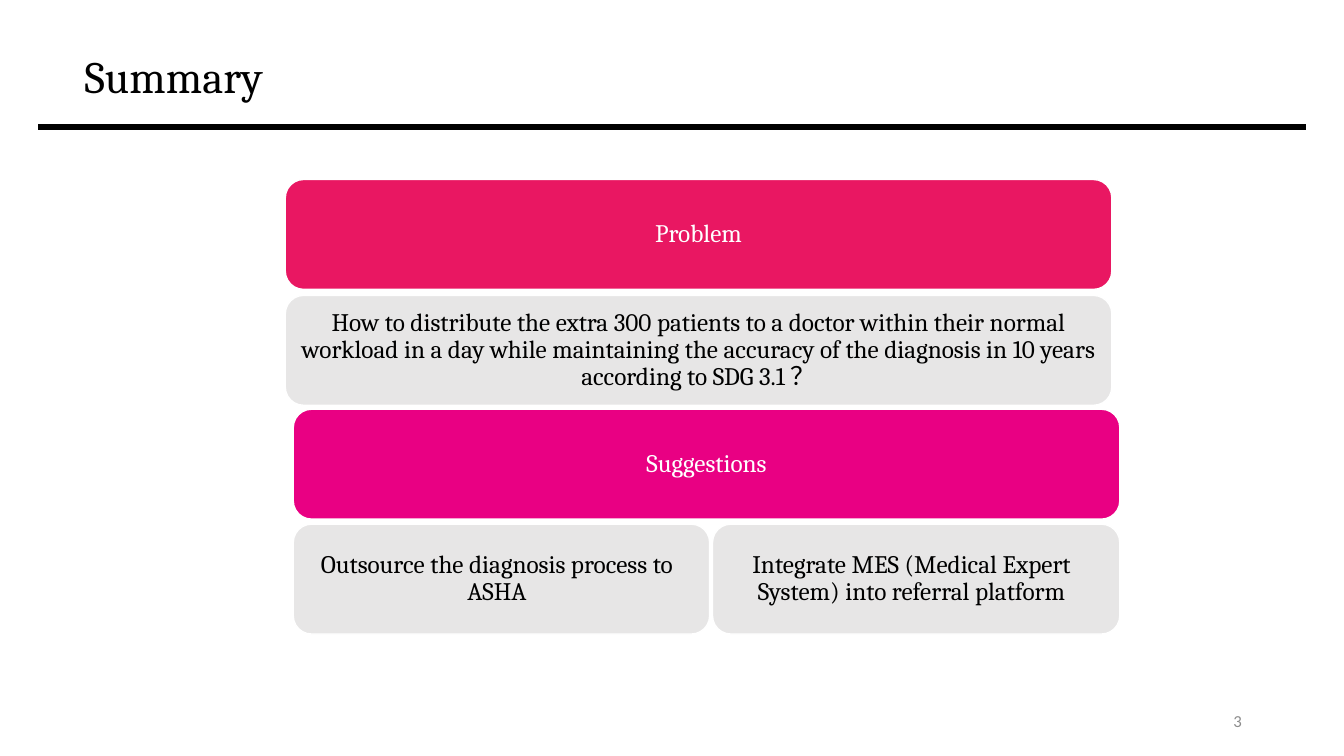
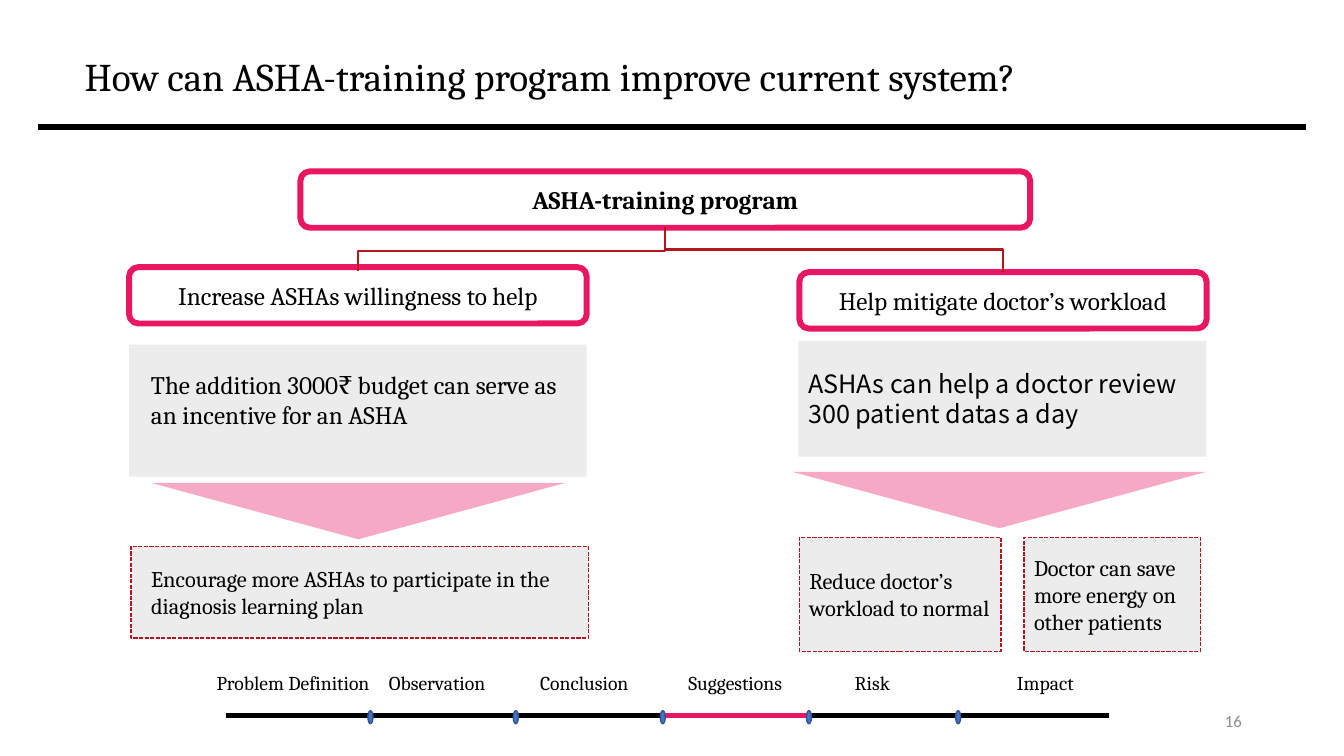
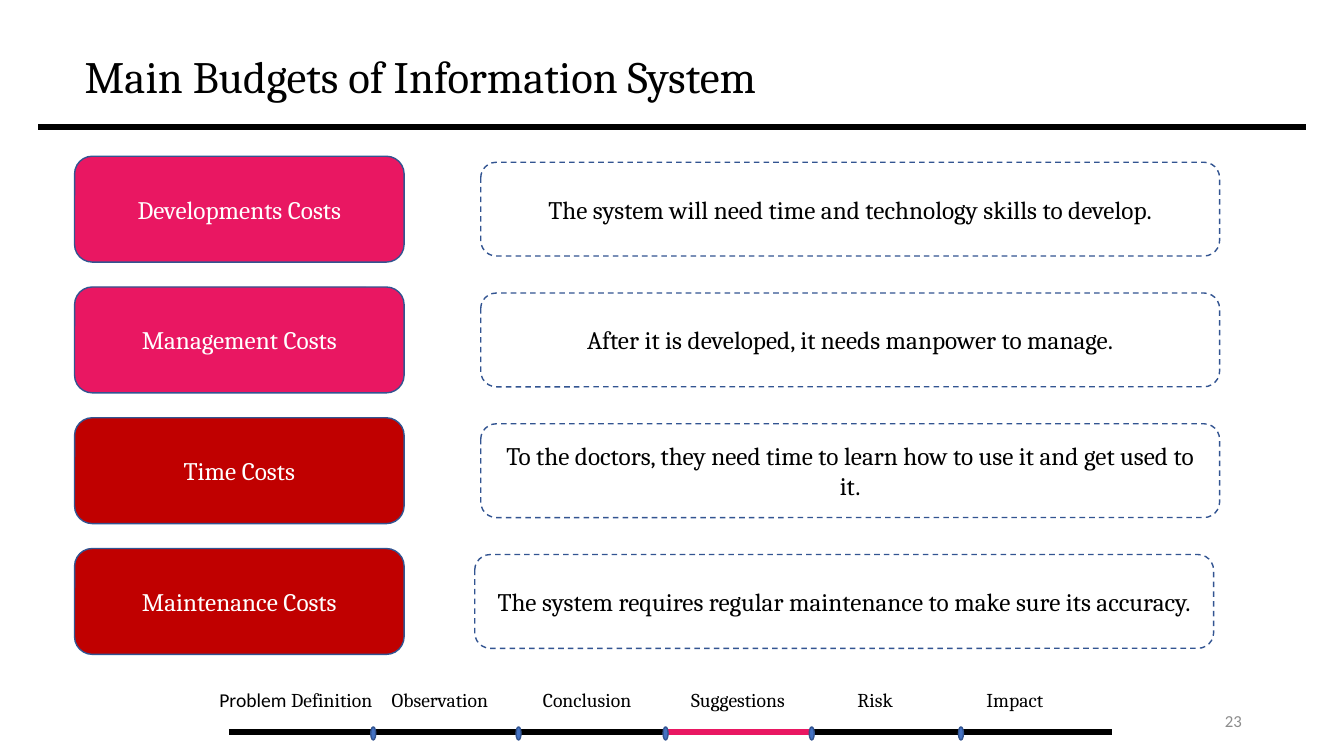
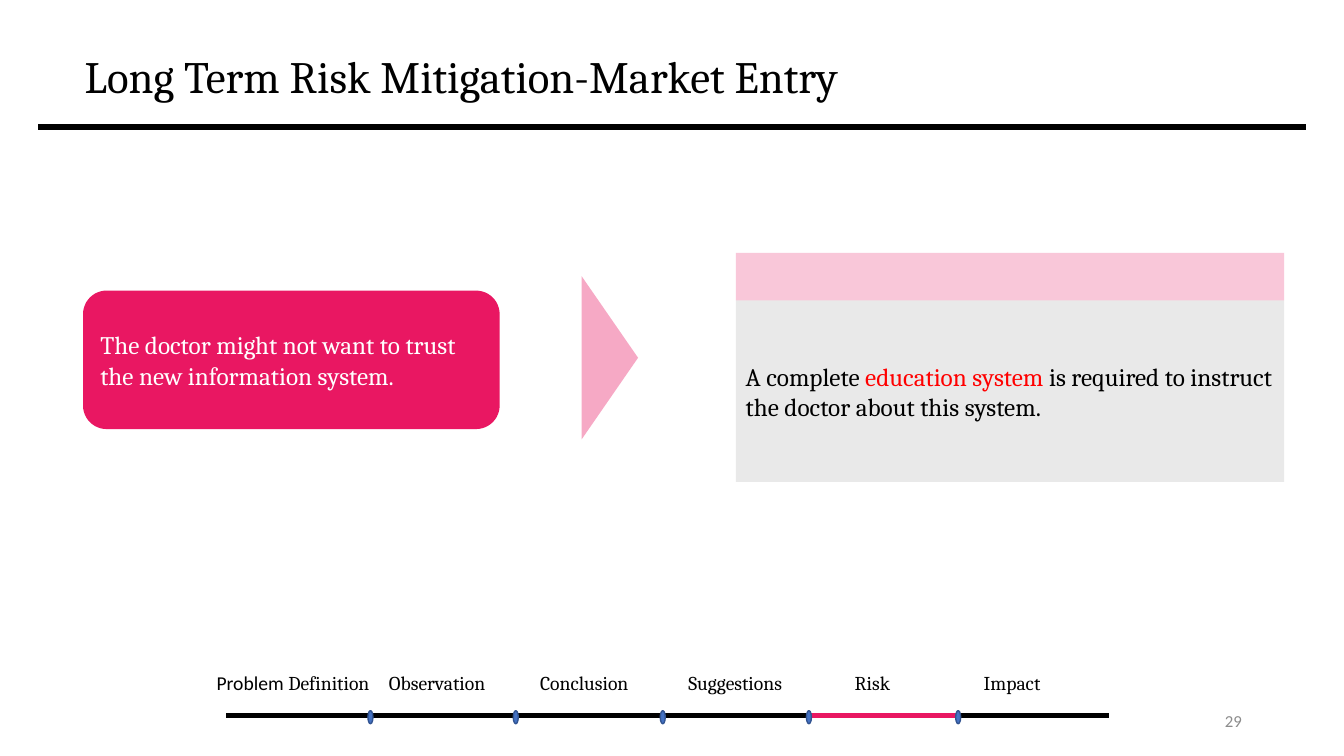
from lxml import etree
from pptx import Presentation
from pptx import util as u
from pptx.dml.color import RGBColor
from pptx.enum import dml, shapes, text
from pptx.oxml import ns

BLACK = RGBColor(0x00, 0x00, 0x00)
WHITE = RGBColor(0xFF, 0xFF, 0xFF)
PINK = RGBColor(0xE9, 0x17, 0x62)
MAGENTA = RGBColor(0xE9, 0x00, 0x83)
CRIMSON = RGBColor(0xB0, 0x17, 0x1F)
DARK_RED = RGBColor(0xC0, 0x00, 0x00)
RED = RGBColor(0xFF, 0x00, 0x00)
BLUE = RGBColor(0x44, 0x72, 0xC4)
NAVY = RGBColor(0x32, 0x54, 0x91)
LIGHT_GRAY = RGBColor(0xE7, 0xE6, 0xE6)
MID_GRAY = RGBColor(0xA5, 0xA5, 0xA5)
NUMBER_GRAY = RGBColor(0x8C, 0x8C, 0x8C)

SERIF, SANS, CJK = "Cambria", "Calibri", "Noto Sans CJK SC"
LEFT, CENTER, RIGHT = (text.PP_ALIGN.LEFT, text.PP_ALIGN.CENTER,
                       text.PP_ALIGN.RIGHT)
TOP, MIDDLE = text.MSO_ANCHOR.TOP, text.MSO_ANCHOR.MIDDLE
KIND = shapes.MSO_SHAPE
ROUND, RECT = KIND.ROUNDED_RECTANGLE, KIND.RECTANGLE
DASH, FINE_DASH = dml.MSO_LINE.DASH, dml.MSO_LINE.SQUARE_DOT

RULE_WIDTH = 4
MARGINS = (7.2, 3.6, 7.2, 3.6)
TRACKER_DOTS = (264.6, 368.4, 473.4, 577.8, 684.4)
TRACKER_LABELS = (
    ("Problem Definition", 147.6, 128),
    ("Observation", 270.7, 87.8),
    ("Conclusion", 378.7, 81.4),
    ("Suggestions", 484.6, 86.4),
    ("Risk", 603.4, 41),
    ("Impact", 695.5, 56.9),
)


def write(frame, content, size=18, color=BLACK, font=SERIF, bold=False,
          align=LEFT, anchor=MIDDLE, spacing=None, margins=MARGINS, wrap=True):
    frame.word_wrap = wrap
    frame.vertical_anchor = anchor
    (frame.margin_left, frame.margin_top,
     frame.margin_right, frame.margin_bottom) = map(u.Pt, margins)
    para = frame.paragraphs[0]
    para.alignment = align
    if spacing:
        para.line_spacing = spacing
    runs = [(content, {})] if isinstance(content, str) else content
    for words, own in runs:
        span = para.add_run()
        span.text = words
        span.font.size = u.Pt(size)
        span.font.bold = bold
        span.font.name = own.get("font", font)
        span.font.color.rgb = own.get("color", color)


def add_box(page, kind, left, top, width, height, fill=None, opacity=100,
            line=None, weight=1, dash=None, rotation=0):
    box = page.shapes.add_shape(kind, *map(u.Pt, (left, top, width, height)))
    box.shadow.inherit = False
    box.rotation = rotation
    if fill is None:
        box.fill.background()
    else:
        box.fill.solid()
        box.fill.fore_color.rgb = fill
    if opacity < 100:
        color = box.element.spPr.find(".//" + ns.qn("a:srgbClr"))
        etree.SubElement(color, ns.qn("a:alpha"), val=str(opacity * 1000))
    if line is None:
        box.line.fill.background()
    else:
        box.line.color.rgb = line
        box.line.width = u.Pt(weight)
        if dash:
            box.line.dash_style = dash
    return box


def add_label(page, content, left, top, width, height, **style):
    label = page.shapes.add_textbox(*map(u.Pt, (left, top, width, height)))
    write(label.text_frame, content, **style)


def add_line(page, kind, start, end, color, weight):
    line = page.shapes.add_connector(kind, *map(u.Pt, (*start, *end)))
    line.line.color.rgb = color
    line.line.width = u.Pt(weight)
    etree.SubElement(line.element.spPr, ns.qn("a:effectLst"))
    return line


def add_rule(page, left, right, y, color=BLACK):
    add_line(page, shapes.MSO_CONNECTOR.STRAIGHT, (left, y), (right, y),
             color, RULE_WIDTH)


def add_branch(page, start, end):
    across, down = abs(end[0] - start[0]), end[1] - start[1]
    x, y = (start[0] + end[0]) / 2, (start[1] + end[1]) / 2
    branch = add_line(page, shapes.MSO_CONNECTOR.ELBOW,
                      (x - down / 2, y - across / 2),
                      (x + down / 2, y + across / 2), CRIMSON, 1.5)
    frame = branch.element.spPr.find(ns.qn("a:xfrm"))
    if end[0] > start[0]:
        frame.set("rot", "16200000")
        frame.set("flipH", "1")
    else:
        frame.set("rot", "5400000")


def add_tracker(page, active, shift=(0, 0), problem_font=SANS,
                impact_shift=0):
    dx, dy = shift
    y = 511.2 + dy
    dots = [x + dx for x in TRACKER_DOTS]
    add_rule(page, 161.5 + dx, 792 + dx, y)
    add_rule(page, dots[active - 1], dots[active], y, PINK)
    for x in dots:
        add_box(page, KIND.OVAL, x - 1.8, y - 3.6, 3.6, 9.4, BLUE, line=NAVY)
    for name, left, width in TRACKER_LABELS:
        content = name
        if name == "Problem Definition":
            content = [("Problem ", {"font": problem_font}),
                       ("Definition", {})]
        if name == "Impact":
            left += impact_shift
        add_label(page, content, left + dx, 475.9 + dy, width, 24.5,
                  size=14, anchor=TOP, wrap=False)


def add_page(deck, title, number, title_size=32):
    page = deck.slides.add_slide(deck.slide_layouts[5])
    write(page.shapes.title.text_frame, title, size=title_size, spacing=0.9)
    add_rule(page, 27.2, 932.8, 90.7)
    add_label(page, str(number), 678.2, 500.4, 216, 28.8, size=12,
              color=NUMBER_GRAY, font=SANS, align=RIGHT)
    return page


def build_summary(deck):
    page = add_page(deck, "Summary", 3)
    even, uneven = (5, 5, 5, 5), (5, 5, 11.5, 5)
    cards = (
        ("Problem", 203.8, 128.2, 590.4, PINK, WHITE, even),
        ("How to distribute the extra 300 patients to a doctor within their "
         "normal workload in a day while maintaining the accuracy of the "
         "diagnosis in 10 years according to SDG 3.1 ？",
         203.8, 211, 590.4, LIGHT_GRAY, BLACK, even),
        ("Suggestions", 209.5, 292.3, 590.4, MAGENTA, WHITE, even),
        ("Outsource the diagnosis process to ASHA",
         209.5, 374.4, 297.4, LIGHT_GRAY, BLACK, uneven),
        ("Integrate MES (Medical Expert System) into referral platform",
         509, 374.4, 290.9, LIGHT_GRAY, BLACK, uneven),
    )
    for content, left, top, width, fill, color, margins in cards:
        card = add_box(page, ROUND, left, top, width, 78.5, fill, line=WHITE)
        write(card.text_frame, content, color=color, align=CENTER,
              spacing=0.9, margins=margins)


def build_training(deck):
    page = add_page(deck, "How can ASHA-training program improve current "
                    "system?", 16, title_size=28)
    add_tracker(page, 3, problem_font=SERIF, impact_shift=23.8)

    add_box(page, RECT, 92.2, 246.2, 326.9, 94.3, LIGHT_GRAY, 75)
    add_label(page, "The addition 3000₹ budget can serve as an incentive "
              "for an ASHA", 100.8, 260, 309.6, 66.2, anchor=TOP)
    review = add_box(page, RECT, 570.2, 243.4, 291.6, 82.8, LIGHT_GRAY, 75)
    write(review.text_frame, "ASHAs can help a doctor review 300 patient "
          "datas a day", font=CJK)

    for content, left, top, width, bold in (
            ("ASHA-training program", 214.6, 122.4, 521.3, True),
            ("Increase ASHAs willingness to help", 92.2, 190.8, 326.9, False),
            ("Help mitigate doctor’s workload", 571, 194.4, 290.9, False)):
        head = add_box(page, ROUND, left, top, width, 40.3, line=PINK,
                       weight=4.25)
        write(head.text_frame, content, bold=bold, align=CENTER)
    add_branch(page, (475.2, 162), (716.4, 194.4))
    add_branch(page, (475.2, 164.9), (255.6, 193.7))

    for left, top in ((108, 344.9), (565.9, 337)):
        add_box(page, KIND.ISOSCELES_TRIANGLE, left, top, 295.9, 40.3,
                PINK, 37, rotation=180)

    for content, left, top, width, height, margins in (
            ("Encourage more ASHAs to participate in the diagnosis learning "
             "plan", 93.6, 390.2, 326.9, 65.5, (14.4, 3.6, 7.2, 3.6)),
            ("Reduce doctor’s workload to normal",
             571, 383.8, 144, 81.4, MARGINS),
            ("Doctor can save more energy on other patients",
             731.5, 383.8, 126, 81.4, MARGINS)):
        result = add_box(page, RECT, left, top, width, height, LIGHT_GRAY,
                         75, line=CRIMSON, dash=FINE_DASH)
        write(result.text_frame, content, size=16, margins=margins)


def build_budgets(deck):
    page = add_page(deck, "Main Budgets of Information System", 23)
    costs = (
        ("Developments Costs", PINK, 343.4,
         "The system will need time and technology skills to develop."),
        ("Management Costs", PINK, 343.4,
         "After it is developed, it needs manpower to manage."),
        ("Time Costs", DARK_RED, 343.4,
         "To the doctors, they need time to learn how to use it and get "
         "used to it."),
        ("Maintenance Costs", DARK_RED, 339.1,
         "The system requires regular maintenance to make sure its "
         "accuracy."),
    )
    for row, (name, fill, left, reason) in enumerate(costs):
        top = 111.6 + row * 93.4
        cost = add_box(page, ROUND, 53.3, top, 235.4, 75.6, fill, line=NAVY)
        write(cost.text_frame, name, color=WHITE, align=CENTER)
        note = add_box(page, ROUND, left, top + 4.3, 527.8, 67, line=NAVY,
                       dash=DASH)
        write(note.text_frame, reason, align=CENTER)
    add_tracker(page, 3, shift=(2, 11.6))


def build_risk(deck):
    page = add_page(deck, "Long Term Risk Mitigation-Market Entry", 29)
    risk = add_box(page, ROUND, 59.8, 208.1, 296.6, 97.9, PINK, line=PINK)
    write(risk.text_frame, "The doctor might not want to trust the new "
          "information system.", color=WHITE)
    add_box(page, KIND.ISOSCELES_TRIANGLE, 377.3, 235.4, 116.6, 40.3,
            PINK, 37, rotation=90)
    answer = add_box(page, RECT, 525.6, 214.6, 391.7, 129.6, MID_GRAY, 24)
    write(answer.text_frame, [
        ("A complete ", {}),
        ("education system ", {"color": RED}),
        ("is required to instruct the doctor about this system.", {})])
    add_box(page, RECT, 525.6, 180.7, 391.7, 33.9, PINK, 24)
    add_tracker(page, 4)


def main():
    deck = Presentation()
    deck.slide_width, deck.slide_height = u.Pt(960), u.Pt(540)
    title = deck.slide_layouts[5].placeholders[0]
    title.left, title.top = u.Pt(53.3), u.Pt(4.3)
    title.width, title.height = u.Pt(828), u.Pt(104.4)
    build_summary(deck)
    build_training(deck)
    build_budgets(deck)
    build_risk(deck)
    deck.save("out.pptx")


if __name__ == "__main__":
    main()
